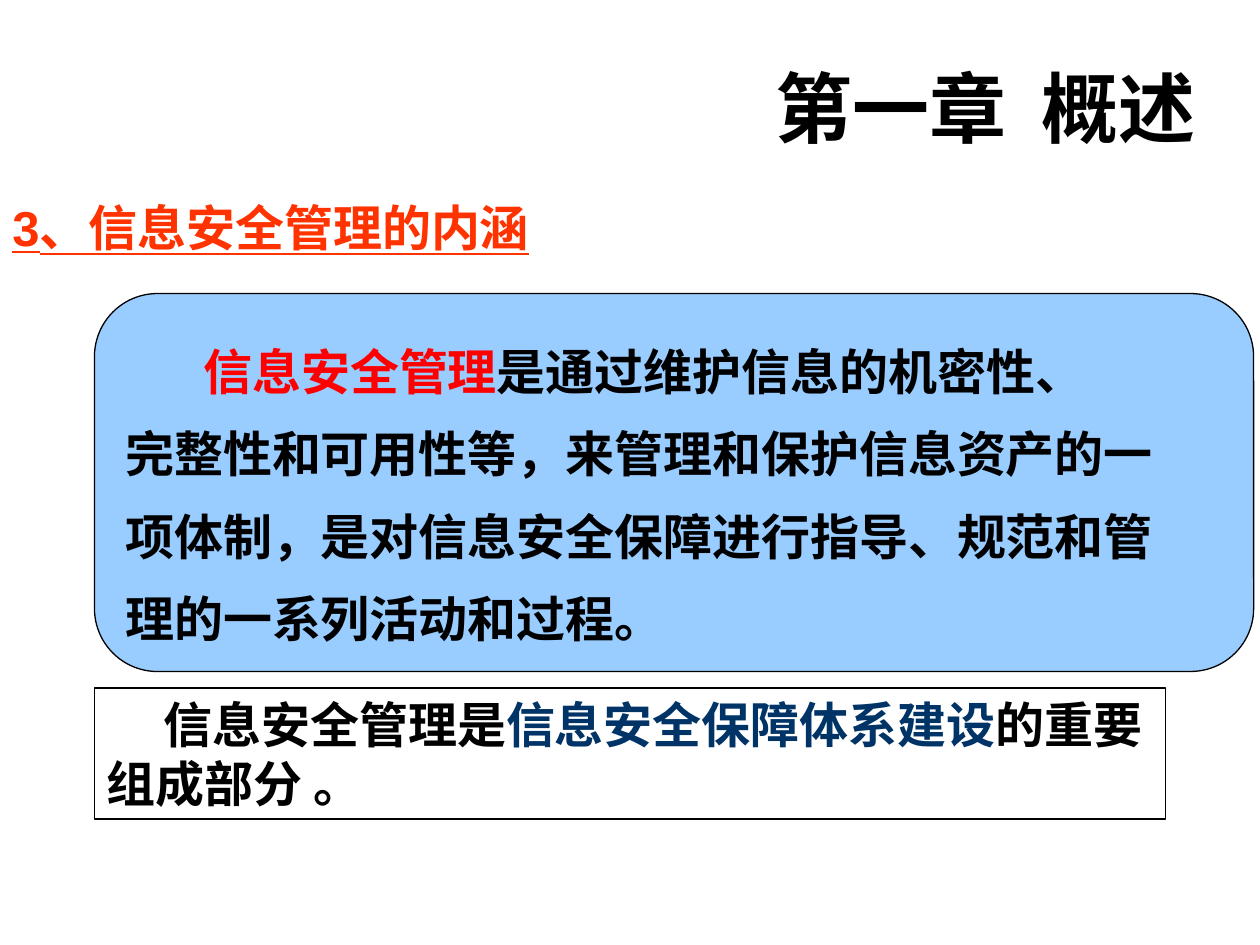
from lxml import etree
from pptx import Presentation, util as u
from pptx.dml.color import RGBColor
from pptx.enum import shapes, text
from pptx.oxml.ns import qn

WIDE, HIGH = 10, 7.5
LEFT = 0.75
INK = {"black": "000000", "red": "FF0000", "head": "FF3300",
       "navy": "003366", "sky": "99CCFF"}
SANS = "Noto Sans CJK SC"
BODY = "Noto Sans CJK JP"


def color(name):
    """Return the named colour."""
    return RGBColor.from_string(INK[name])


def place(item, left, top, width, height):
    """Set position and size in inches."""
    item.left, item.top = u.Inches(left), u.Inches(top)
    item.width, item.height = u.Inches(width), u.Inches(height)


def write(shape, lines, size=28, font=BODY, east=None, align="LEFT",
          space=1, indent=0, under=None, anchor="MIDDLE"):
    """Fill a shape with lines, each a list of (words, colour) runs."""
    frame = shape.text_frame
    frame.word_wrap = True
    frame.auto_size = text.MSO_AUTO_SIZE.NONE
    frame.vertical_anchor = getattr(text.MSO_ANCHOR, anchor)
    for i, runs in enumerate(lines):
        para = frame.add_paragraph() if i else frame.paragraphs[0]
        para.alignment = getattr(text.PP_ALIGN, align)
        para.line_spacing = space
        if indent and i == 0:
            para._p.get_or_add_pPr().set("indent", str(u.Inches(indent)))
        for words, tint in runs:
            run = para.add_run()
            run.text = words
            face = run.font
            face.size, face.bold, face.name = u.Pt(size), True, font
            face.underline = under
            face.color.rgb = color(tint)
            etree.SubElement(run._r.rPr, qn("a:ea"), typeface=east or font)


def panel(slide, kind, box, fill=None):
    """Add an outlined panel, filled or clear."""
    shape = slide.shapes.add_shape(kind, 0, 0, 0, 0)
    place(shape, *box)
    shape.shadow.inherit = False
    if fill:
        shape.fill.solid()
        shape.fill.fore_color.rgb = color(fill)
    else:
        shape.fill.background()
    shape.line.color.rgb = color("black")
    shape.line.width = u.Pt(0.75)
    return shape


def main():
    """Build the slide and save it."""
    deck = Presentation()
    deck.slide_width, deck.slide_height = u.Inches(WIDE), u.Inches(HIGH)
    slide = deck.slides.add_slide(deck.slide_layouts[5])

    title = slide.shapes.title
    place(title, 1.17, 0.58, 8.42, 0.53)
    write(title, [[("第一章  概述", "black")]], size=44, font=SANS,
          align="RIGHT")

    head = slide.shapes.add_textbox(0, 0, 0, 0)
    place(head, 0, 1.52, 5.08, 0.57)
    write(head, [[("3、信息安全管理的内涵", "head")]], font="Arial",
          east=SANS, under=True, anchor="TOP")

    kinds = shapes.MSO_SHAPE
    card = panel(slide, kinds.ROUNDED_RECTANGLE, (LEFT, 2.33, 9.2, 3), "sky")
    write(card, [
        [("信息安全管理", "red"), ("是通过维护信息的机密性、", "black")],
        [("完整性和可用性等，来管理和保护信息资产的一", "black")],
        [("项体制，是对信息安全保障进行指导、规范和管", "black")],
        [("理的一系列活动和过程。", "black")],
    ], space=1.4, indent=0.62)

    note = panel(slide, kinds.RECTANGLE, (LEFT, 5.46, 8.5, 1.04))
    write(note, [[("信息安全管理是", "black"),
                  ("信息安全保障体系建设", "navy"),
                  ("的重要组成部分 。", "black")]], indent=0.45)

    deck.save("out.pptx")


if __name__ == "__main__":
    main()
